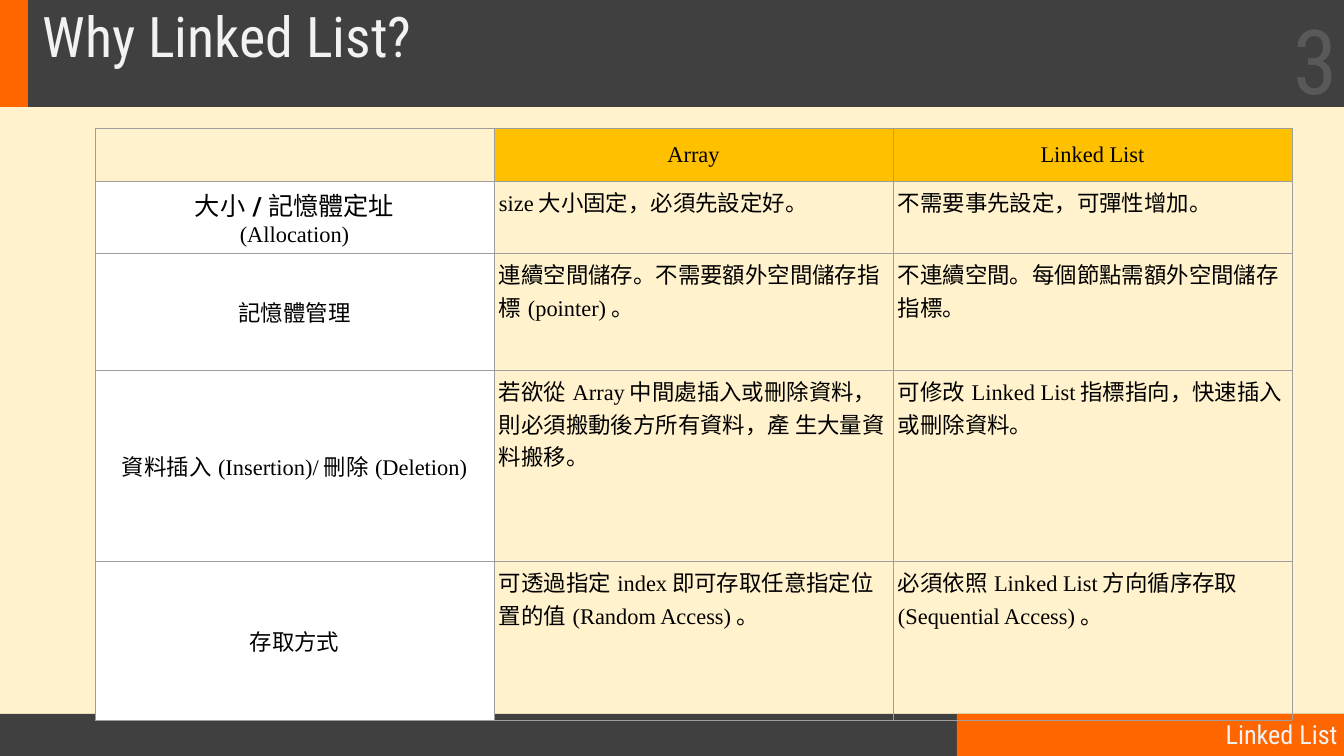
"""Build the slide that compares arrays with linked lists."""
import pptx
import pptx.dml.color
import pptx.enum.shapes
import pptx.enum.text
import pptx.oxml
import pptx.oxml.ns
import pptx.util

PX = 914400 / 67.2
ALIGN = pptx.enum.text.PP_ALIGN
ANCHOR = pptx.enum.text.MSO_ANCHOR
SERIF = "Times New Roman"


def px(*lengths):
    return [pptx.util.Emu(round(length * PX)) for length in lengths]


def color(code):
    return pptx.dml.color.RGBColor.from_string(code)


deck = pptx.Presentation()
deck.slide_width, deck.slide_height = px(1344, 756)
slide = deck.slides.add_slide(deck.slide_layouts[6])
slide.background.fill.solid()
slide.background.fill.fore_color.rgb = color("FFF2CC")

bars = [
    ((0, 714, 1344, 42), "404040"),
    ((957, 714, 387, 42), "FF6600"),
    ((0, 0, 1344, 107), "404040"),
    ((0, 0, 28, 107), "FF6600"),
]
for place, tint in bars:
    bar = slide.shapes.add_shape(pptx.enum.shapes.MSO_SHAPE.RECTANGLE, *px(*place))
    bar.shadow.inherit = False
    bar.fill.solid()
    bar.fill.fore_color.rgb = color(tint)
    bar.line.fill.background()

labels = [
    ("Why Linked List?", (36, 9, 1297, 56), 60, "F2F2F2", ALIGN.LEFT, ANCHOR.TOP, 0.9),
    ("Linked List", (890, 714, 454, 41), 28, "F2F2F2", ALIGN.RIGHT, ANCHOR.MIDDLE, 1.0),
    ("3", (1042, 0, 302, 118), 96, "595959", ALIGN.RIGHT, ANCHOR.MIDDLE, 1.0),
]
for words, place, size, tint, align, anchor, spacing in labels:
    label = slide.shapes.add_textbox(*px(*place)).text_frame
    label.word_wrap = True
    label.vertical_anchor = anchor
    label.margin_top = label.margin_bottom = 0
    line = label.paragraphs[0]
    line.alignment = align
    line.line_spacing = spacing
    run = line.add_run()
    run.text = words
    run.font.name = "Roboto Condensed"
    run.font.size = pptx.util.Pt(size)
    run.font.color.rgb = color(tint)

allocation = [
    [("大小", 27, "Roboto", False), ("/", 27, "Roboto", True), ("記憶體定址", 27, "Roboto", False)],
    [("(Allocation)", 24, SERIF, False)],
]
comparison = [
    ["", "Array", "Linked List"],
    [allocation, "size大小固定，必須先設定好。", "不需要事先設定，可彈性增加。"],
    [
        "記憶體管理",
        "連續空間儲存。不需要額外空間儲存指標(pointer)。",
        "不連續空間。每個節點需額外空間儲存指標。",
    ],
    [
        "資料插入(Insertion)/刪除(Deletion)",
        "若欲從Array中間處插入或刪除資料，則必須搬動後方所有資料，產 生大量資料搬移。",
        "可修改Linked List指標指向，快速插入或刪除資料。",
    ],
    [
        "存取方式",
        "可透過指定index即可存取任意指定位置的值(Random Access)。",
        "必須依照Linked List方向循序存取(Sequential Access)。",
    ],
]
row_heights = px(53, 72, 117, 191, 159)
table = slide.shapes.add_table(5, 3, *px(95, 128, 1197, 592)).table
table.first_row = table.horz_banding = False
for column in table.columns:
    column.width = px(399)[0]
for row, height in zip(table.rows, row_heights):
    row.height = height

for r, entries in enumerate(comparison):
    for c, entry in enumerate(entries):
        cell = table.cell(r, c)
        heading = r == 0 or c == 0
        cell.vertical_anchor = ANCHOR.MIDDLE if heading else ANCHOR.TOP
        for side in ("left", "right", "top", "bottom"):
            setattr(cell, f"margin_{side}", px(5)[0])

        for edge in ("lnL", "lnR", "lnT", "lnB"):
            cell._tc.get_or_add_tcPr().append(pptx.oxml.parse_xml(
                f'<a:{edge} {pptx.oxml.ns.nsdecls("a")} w="7620"><a:solidFill>'
                f'<a:srgbClr val="9E9E9E"/></a:solidFill></a:{edge}>'))
        if heading and entry:
            cell.fill.solid()
            cell.fill.fore_color.rgb = color("FFC000" if r == 0 else "FFFFFF")
        else:
            cell.fill.background()

        if not entry:
            continue
        lines = [[(entry, 24, SERIF, False)]] if isinstance(entry, str) else entry
        for n, pieces in enumerate(lines):
            line = cell.text_frame.add_paragraph() if n else cell.text_frame.paragraphs[0]
            line.alignment = ALIGN.CENTER if heading else ALIGN.LEFT
            for words, size, face, bold in pieces:
                run = line.add_run()
                run.text = words
                run.font.color.rgb = color("000000")
                font_values = {"name": face, "size": pptx.util.Pt(size), "bold": bold}
                for key, value in font_values.items():
                    setattr(run.font, key, value)

deck.save("out.pptx")
